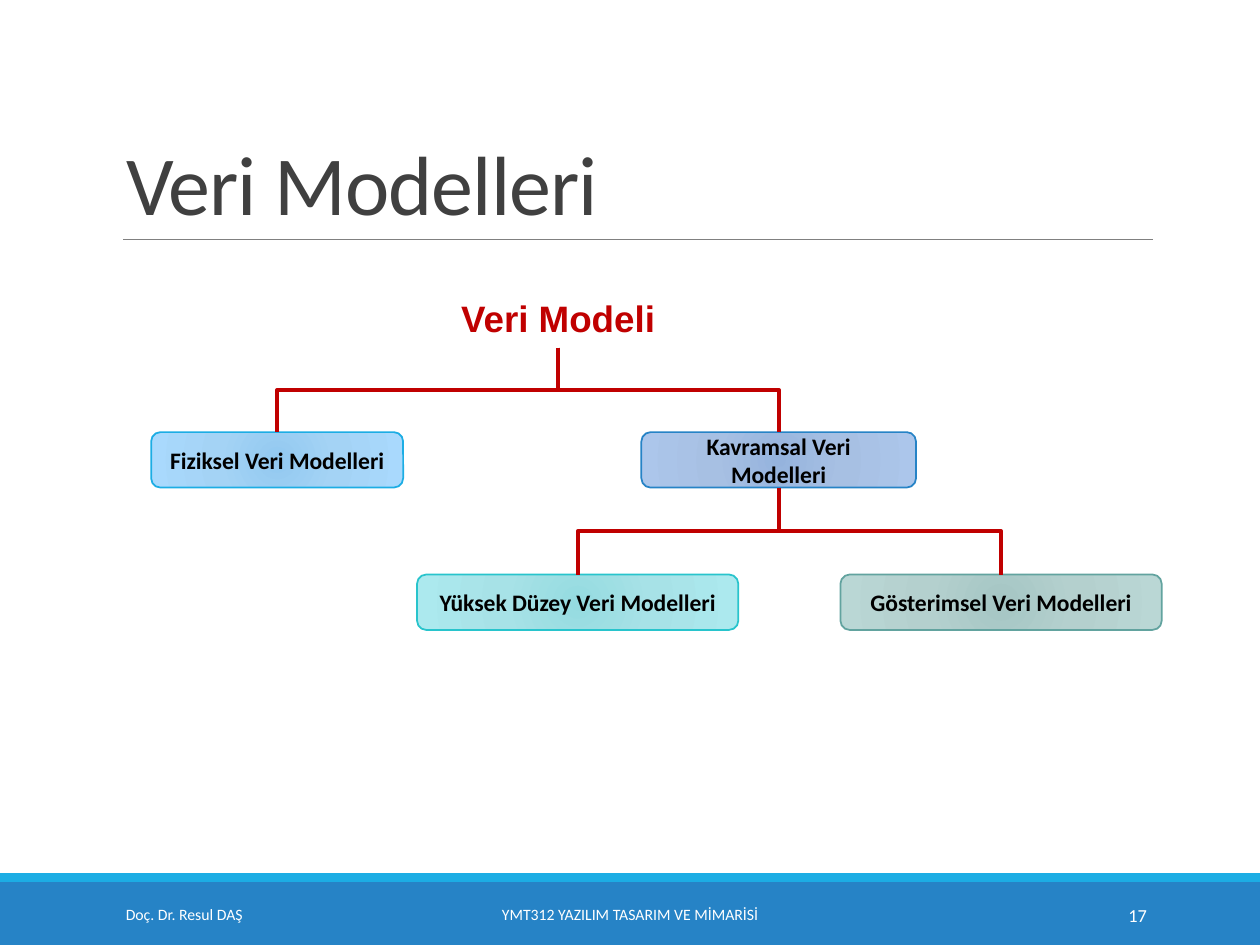
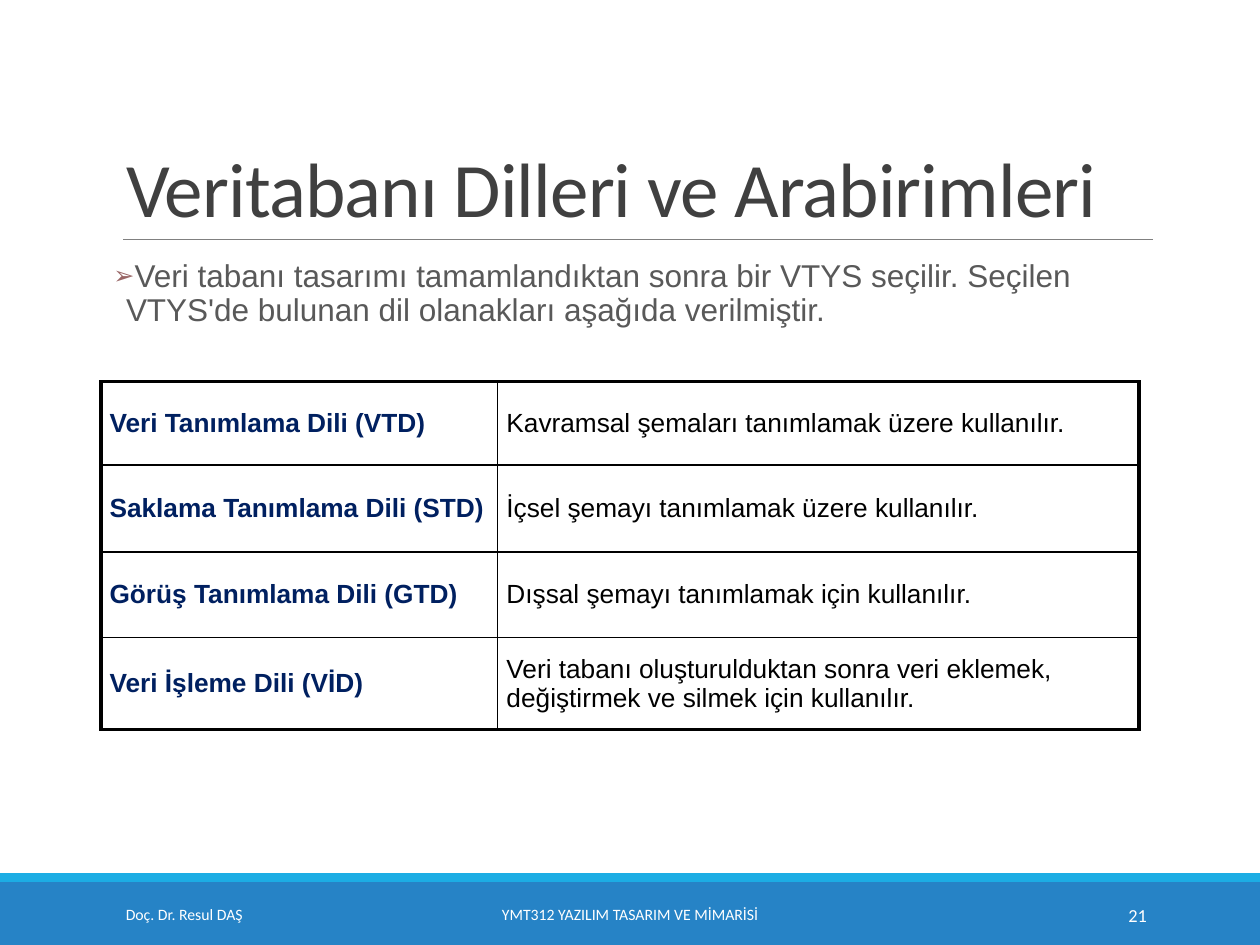
import collections

import pptx
import pptx.dml.color
import pptx.enum.shapes
import pptx.enum.text
import pptx.oxml
import pptx.oxml.ns
import pptx.util
from lxml import etree

RGB = pptx.dml.color.RGBColor
ALIGN = pptx.enum.text.PP_ALIGN
ANCHOR = pptx.enum.text.MSO_ANCHOR
SHAPE = pptx.enum.shapes.MSO_SHAPE
CONNECTOR = pptx.enum.shapes.MSO_CONNECTOR
NAMESPACE = pptx.oxml.ns.nsdecls("a")
qn = pptx.oxml.ns.qn

WHITE = RGB(0xFF, 0xFF, 0xFF)
BLACK = RGB(0, 0, 0)
BAND_BLUE = RGB(0x26, 0x83, 0xC6)
STRIPE_BLUE = RGB(0x1C, 0xAD, 0xE4)
RULE_GRAY = RGB(0x80, 0x80, 0x80)
TITLE_GRAY = RGB(0x40, 0x40, 0x40)
BODY_GRAY = RGB(0x59, 0x59, 0x59)
BULLET_BROWN = RGB(0x99, 0x66, 0x66)
TREE_RED = RGB(0xC0, 0, 0)
TERM_NAVY = RGB(0, 0x20, 0x60)
TEAL = RGB(0x28, 0xC4, 0xCC)
SAGE = RGB(0x62, 0xA3, 0x9F)
SKY_STOPS = RGB(0x92, 0xC9, 0xF0), RGB(0xA4, 0xD3, 0xF5), RGB(0xA9, 0xD9, 0xFD)
BLUE_STOPS = RGB(0x95, 0xB3, 0xDD), RGB(0xA7, 0xC0, 0xE3), RGB(0xAC, 0xC6, 0xEB)
TEAL_STOPS = RGB(0x95, 0xDB, 0xE0), RGB(0xA7, 0xE2, 0xE7), RGB(0xAC, 0xE9, 0xEE)
SAGE_STOPS = RGB(0xA5, 0xC6, 0xC4), RGB(0xB4, 0xD0, 0xCE), RGB(0xBA, 0xD7, 0xD5)

# The page is a grid of 100 columns and 75 rows.
PAGE_WIDTH, PAGE_HEIGHT = pptx.util.Inches(10), pptx.util.Inches(7.5)
COLUMN, ROW = PAGE_WIDTH // 100, PAGE_HEIGHT // 75


class Box(collections.namedtuple("Box", "left top width height")):
    """A region measured in columns and rows."""

    def inside(self, left, top, width, height):
        return Box(self.left + left, self.top + top, width, height)

    def lengths(self):
        return [round(value * unit) for value, unit in zip(self, (COLUMN, ROW) * 2)]


TITLE_BOX = Box(9, 3.1, 82.5, 15.9)
FOOTER_BOX = Box(0, 69.3, 100, 5.7)
TREE_BOX = Box(12, 23, 80.2, 27)
INTRO_BOX = Box(9, 20.2, 82.5, 8)
TABLE_BOX = Box(8, 30.3, 82.4, 27.6)


def write_text(frame, text, *, size, color, font="Calibri", bold=False,
               align=ALIGN.LEFT, spacing=None, tracking=None):
    para = frame.paragraphs[0]
    para.alignment = align
    if spacing:
        para.line_spacing = spacing
    span = para.add_run()
    span.text = text
    span.font.name = font
    span.font.size = pptx.util.Pt(size)
    span.font.bold = bold
    span.font.color.rgb = color
    if tracking:
        span.font._element.set("spc", str(round(tracking * 100)))
    return para


def add_label(page, box, text, wrap=True, anchor=ANCHOR.MIDDLE, **style):
    label = page.shapes.add_textbox(*box.lengths())
    label.text_frame.word_wrap = wrap
    label.text_frame.vertical_anchor = anchor
    write_text(label.text_frame, text, **style)
    return label


def add_band(page, box, color):
    band = page.shapes.add_shape(SHAPE.RECTANGLE, *box.lengths())
    band.shadow.inherit = False
    band.fill.solid()
    band.fill.fore_color.rgb = color
    band.line.fill.background()


def style_connector(connector, color, width):
    connector.line.color.rgb = color
    connector.line.width = pptx.util.Pt(width)
    etree.SubElement(connector._element.spPr, qn("a:effectLst"))


def add_footer(page, box, number):
    add_band(page, box.inside(0, 0.7, box.width, 5), BAND_BLUE)
    add_band(page, box.inside(0, 0, box.width, 0.7), STRIPE_BLUE)
    for left, width, text, size, align in (
        (9, 20.3, "Doç. Dr. Resul DAŞ", 9, ALIGN.LEFT),
        (30.2, 39.6, "YMT312 YAZILIM TASARIM VE MİMARİSİ", 9, ALIGN.CENTER),
        (81.2, 10.8, str(number), 10.5, ALIGN.RIGHT),
    ):
        add_label(page, box.inside(left, 1.3, width, 4), text,
                  size=size, color=WHITE, align=align)


def add_title(page, box, text, size):
    title = page.shapes.title
    title.left, title.top, title.width, title.height = box.lengths()
    frame = title.text_frame
    frame.auto_size = pptx.enum.text.MSO_AUTO_SIZE.NONE
    frame.vertical_anchor = ANCHOR.BOTTOM
    write_text(frame, text, size=size, color=TITLE_GRAY, spacing=0.85, tracking=-0.5)
    left, top, width, height = box.inside(0.8, box.height, box.width - 0.8, 0).lengths()
    rule = page.shapes.add_connector(CONNECTOR.STRAIGHT, left, top, left + width, top)
    style_connector(rule, RULE_GRAY, 0.5)


def add_page(deck, title, title_size, number):
    page = deck.slides.add_slide(deck.slide_layouts[5])
    add_footer(page, FOOTER_BOX, number)
    add_title(page, TITLE_BOX, title, title_size)
    return page


def fill_radial(shape, colors):
    stops = "".join(
        f'<a:gs pos="{share * 1000}"><a:srgbClr val="{color}"/></a:gs>'
        for share, color in zip((0, 45, 100), colors))
    gradient = pptx.oxml.parse_xml(
        f'<a:gradFill {NAMESPACE} rotWithShape="1"><a:gsLst>{stops}</a:gsLst>'
        '<a:path path="circle"><a:fillToRect l="100000" t="100000" r="100000" b="100000"/>'
        '</a:path></a:gradFill>')
    shape.fill.background()
    properties = shape._element.spPr
    properties.replace(properties.find(qn("a:noFill")), gradient)


def add_model(page, box, text, line_color, stops):
    model = page.shapes.add_shape(SHAPE.ROUNDED_RECTANGLE, *box.lengths())
    model.shadow.inherit = False
    fill_radial(model, stops)
    model.line.color.rgb = line_color
    model.line.width = pptx.util.Pt(1)
    model.text_frame.word_wrap = True
    model.text_frame.vertical_anchor = ANCHOR.MIDDLE
    write_text(model.text_frame, text, size=13.5, color=BLACK, bold=True, align=ALIGN.CENTER)
    return model


def add_branch(page, parent, child):
    """Join parent's bottom to child's top by a vertical elbow, turned a quarter."""
    branch = page.shapes.add_connector(CONNECTOR.ELBOW, 0, 0, 0, 0)
    branch.begin_connect(parent, 2)
    branch.end_connect(child, 0)
    start_x, end_x = (node.left + node.width // 2 for node in (parent, child))
    start_y, end_y = parent.top + parent.height, child.top
    drop, reach = end_y - start_y, abs(end_x - start_x)
    transform = branch._element.spPr.xfrm
    transform.flipV = False
    transform.flipH = end_x > start_x
    transform.rot = 270 if end_x > start_x else 90
    branch.left = (start_x + end_x - drop) // 2
    branch.top = (start_y + end_y - reach) // 2
    branch.width, branch.height = drop, reach
    style_connector(branch, TREE_RED, 2.25)


def add_model_tree(page, box):
    root = add_label(page, box.inside(23.5, 0, 17.6, 4.6), "Veri Modeli", wrap=False,
                     anchor=ANCHOR.TOP, size=21, font="Arial", color=TREE_RED,
                     bold=True, align=ALIGN.CENTER)
    level_gap, model_height = 11.3, 4.4
    physical, conceptual, high_level, representational = [
        add_model(page, box.inside(left, level * level_gap, width, model_height),
                  text, line_color, stops)
        for left, level, width, text, line_color, stops in (
            (0, 1, 20, "Fiziksel Veri Modelleri", STRIPE_BLUE, SKY_STOPS),
            (38.9, 1, 21.8, "Kavramsal Veri Modelleri", BAND_BLUE, BLUE_STOPS),
            (21.1, 2, 25.5, "Yüksek Düzey Veri Modelleri", TEAL, TEAL_STOPS),
            (54.7, 2, 25.5, "Gösterimsel Veri Modelleri", SAGE, SAGE_STOPS),
        )]
    for parent, child in ((root, physical), (root, conceptual),
                          (conceptual, high_level), (conceptual, representational)):
        add_branch(page, parent, child)


def add_intro(page, box, text):
    intro = page.shapes.add_textbox(*box.lengths())
    frame = intro.text_frame
    frame.word_wrap = True
    frame.margin_left = frame.margin_right = 0
    para = write_text(frame, text, size=18, font="Arial", color=BODY_GRAY, spacing=0.9)
    properties = para._p.get_or_add_pPr()
    properties.set("marL", str(COLUMN))
    properties.set("indent", str(-COLUMN))
    for bullet in (
        f'<a:buClr {NAMESPACE}><a:srgbClr val="{BULLET_BROWN}"/></a:buClr>',
        f'<a:buSzPct {NAMESPACE} val="80000"/>',
        f'<a:buFont {NAMESPACE} typeface="Arial"/>',
        f'<a:buChar {NAMESPACE} char="➢"/>',
    ):
        properties.append(pptx.oxml.parse_xml(bullet))


def set_borders(cell, widths):
    """Draw black borders; widths are points for left, right, top and bottom."""
    properties = cell._tc.get_or_add_tcPr()
    for index, (side, width) in enumerate(zip("LRTB", widths)):
        properties.insert(index, pptx.oxml.parse_xml(
            f'<a:ln{side} {NAMESPACE} w="{pptx.util.Pt(width)}"><a:solidFill>'
            f'<a:srgbClr val="{BLACK}"/></a:solidFill></a:ln{side}>'))


def add_language_table(page, box, languages):
    table = page.shapes.add_table(len(languages), 2, *box.lengths()).table
    table.first_row = table.horz_banding = False
    for column, width in zip(table.columns, (31.5, 50.9)):
        column.width = round(width * COLUMN)
    for row, height in zip(table.rows, (6.6, 6.9, 6.8, 7.3)):
        row.height = round(height * ROW)
    thick, thin = 2.25, 1
    last = len(languages) - 1
    for row_index, texts in enumerate(languages):
        for column_index, text in enumerate(texts):
            is_term = column_index == 0
            cell = table.cell(row_index, column_index)
            cell.fill.background()
            cell.vertical_anchor = ANCHOR.MIDDLE
            cell.margin_left = cell.margin_right = round(0.7 * COLUMN)
            cell.margin_top = cell.margin_bottom = round(0.4 * ROW)
            write_text(cell.text_frame, text, size=15, font="Arial", bold=is_term,
                       color=TERM_NAVY if is_term else BLACK)
            outer_edges = is_term, not is_term, row_index == 0, row_index == last
            set_borders(cell, [thick if outer else thin for outer in outer_edges])


def main():
    deck = pptx.Presentation()
    deck.slide_width, deck.slide_height = PAGE_WIDTH, PAGE_HEIGHT

    models = add_page(deck, "Veri Modelleri", 48, 17)
    add_model_tree(models, TREE_BOX)

    languages = add_page(deck, "Veritabanı Dilleri ve Arabirimleri", 44, 21)
    add_intro(languages, INTRO_BOX,
              "Veri tabanı tasarımı tamamlandıktan sonra bir VTYS seçilir. Seçilen "
              "VTYS'de bulunan dil olanakları aşağıda verilmiştir.")
    add_language_table(languages, TABLE_BOX, (
        ("Veri Tanımlama Dili (VTD)", "Kavramsal şemaları tanımlamak üzere kullanılır."),
        ("Saklama Tanımlama Dili (STD)", "İçsel şemayı tanımlamak üzere kullanılır."),
        ("Görüş Tanımlama Dili (GTD)", "Dışsal şemayı tanımlamak için kullanılır."),
        ("Veri İşleme Dili (VİD)", "Veri tabanı oluşturulduktan sonra veri eklemek, "
                                   "değiştirmek ve silmek için kullanılır."),
    ))
    deck.save("out.pptx")


if __name__ == "__main__":
    main()
